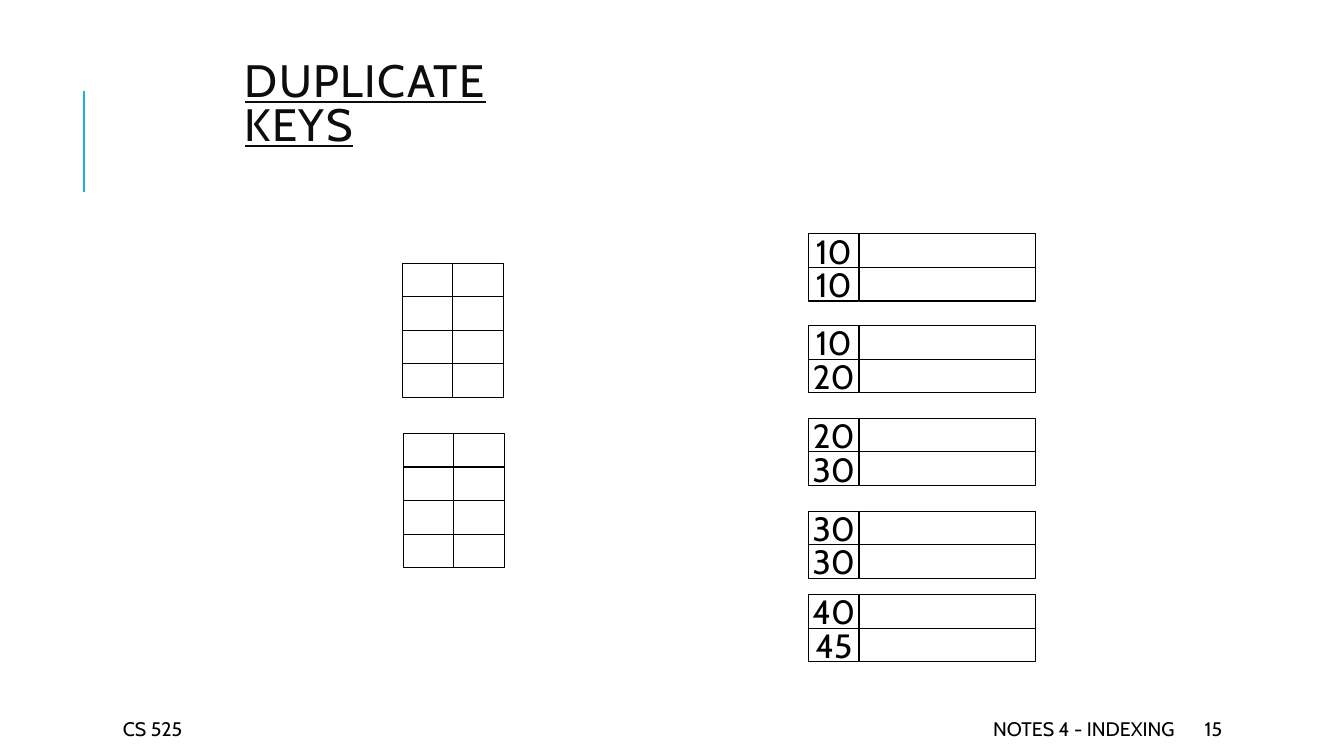
from pptx import Presentation
from pptx.dml.color import RGBColor
from pptx.enum.shapes import MSO_CONNECTOR, MSO_SHAPE
from pptx.enum.text import MSO_ANCHOR, PP_ALIGN
from pptx.oxml.ns import qn
from pptx.util import Inches, Pt
from lxml import etree

BLACK = RGBColor(0x00, 0x00, 0x00)
WHITE = RGBColor(0xFF, 0xFF, 0xFF)
TITLE_INK = RGBColor(0x0D, 0x0D, 0x0D)
ACCENT = RGBColor(0x1C, 0xAD, 0xE4)

TITLE = "DUPLICATE KEYS"
FOOTERS = [
    ("CS 525", 1.12, 2.36, PP_ALIGN.LEFT),
    ("NOTES 4 - INDEXING", 5.3, 6.45, PP_ALIGN.RIGHT),
    ("15", 11.85, 1.06, PP_ALIGN.LEFT),
]
RECORD_BLOCKS = [
    (2.32, ["10", "10"]),
    (3.23, ["10", "20"]),
    (4.15, ["20", "30"]),
    (5.07, ["30", "30"]),
    (5.9, ["40", "45"]),
]
INDEX_BLOCKS = [(3.99, 2.61), (4, 4.3)]
INDEX_ROWS = 4
RECORD_LEFT = 8.02
KEY_W, RECORD_W, ROW_H = 0.5, 1.75, 1 / 3


def write(s, text, size=14, color=BLACK, align=PP_ALIGN.LEFT, wrap=True, underline=None):
    tf = s.text_frame
    tf.word_wrap = wrap
    tf.vertical_anchor = MSO_ANCHOR.MIDDLE
    p = tf.paragraphs[0]
    p.alignment = align
    r = p.add_run()
    r.text = text
    r.font.name = "Cabin"
    r.font.size = Pt(size)
    r.font.color.rgb = color
    r.font.underline = underline
    return p


def add_grid(sl, left, top, widths, rows):
    group = sl.shapes.add_group_shape()
    for i, row in enumerate(rows):
        x = left
        for width, text in zip(widths, row):
            s = group.shapes.add_shape(
                MSO_SHAPE.RECTANGLE, Inches(x), Inches(top + i * ROW_H), Inches(width), Inches(ROW_H))
            s.shadow.inherit = False
            s.fill.solid()
            s.fill.fore_color.rgb = WHITE
            s.line.color.rgb = BLACK
            s.line.width = Pt(0.75)
            if text:
                write(s, text, size=24, align=PP_ALIGN.CENTER, wrap=False)
            x += width


def main():
    prs = Presentation()
    prs.slide_width, prs.slide_height = Inches(13.33), Inches(7.5)
    sl = prs.slides.add_slide(prs.slide_layouts[5])

    title = sl.shapes.title
    title.left, title.top = Inches(2.33), Inches(0.67)
    title.width, title.height = Inches(3.67), Inches(0.77)
    p = write(title, TITLE, size=32.4, color=TITLE_INK, underline=True)
    p.line_spacing = 0.8
    p.runs[0].font._element.set("spc", "100")

    bar = sl.shapes.add_connector(
        MSO_CONNECTOR.STRAIGHT, Inches(0.83), Inches(1.9), Inches(0.83), Inches(0.9))
    bar.line.color.rgb = ACCENT
    bar.line.width = Pt(1.5)
    etree.SubElement(bar._element.spPr, qn("a:effectLst"))

    for text, left, width, align in FOOTERS:
        s = sl.shapes.add_textbox(Inches(left), Inches(7.08), Inches(width), Inches(0.3))
        write(s, text, align=align)

    for top, keys in RECORD_BLOCKS:
        add_grid(sl, RECORD_LEFT, top, (KEY_W, RECORD_W), [(key, "") for key in keys])
    for left, top in INDEX_BLOCKS:
        add_grid(sl, left, top, (KEY_W, KEY_W), [("", "")] * INDEX_ROWS)

    prs.save("out.pptx")


if __name__ == "__main__":
    main()
